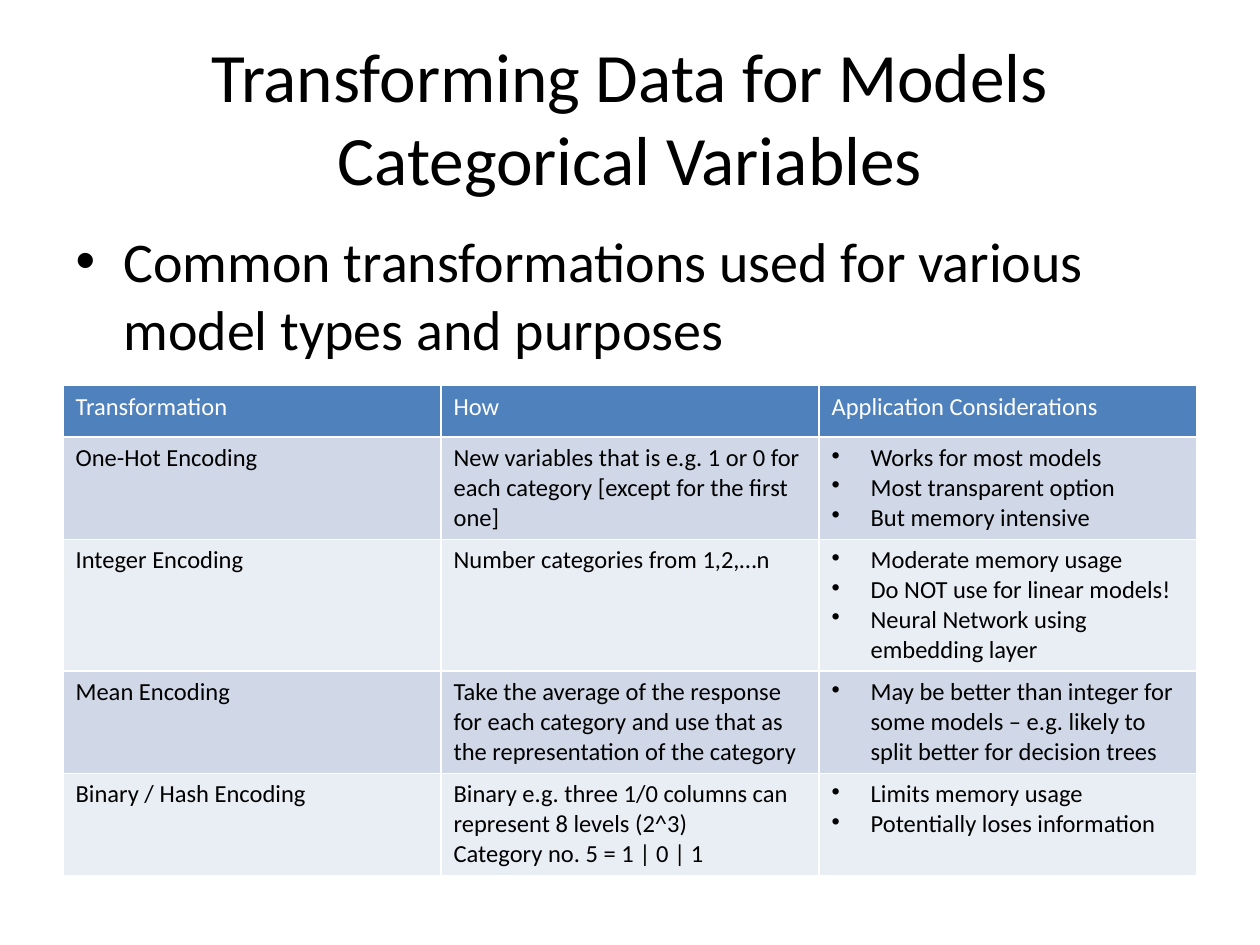
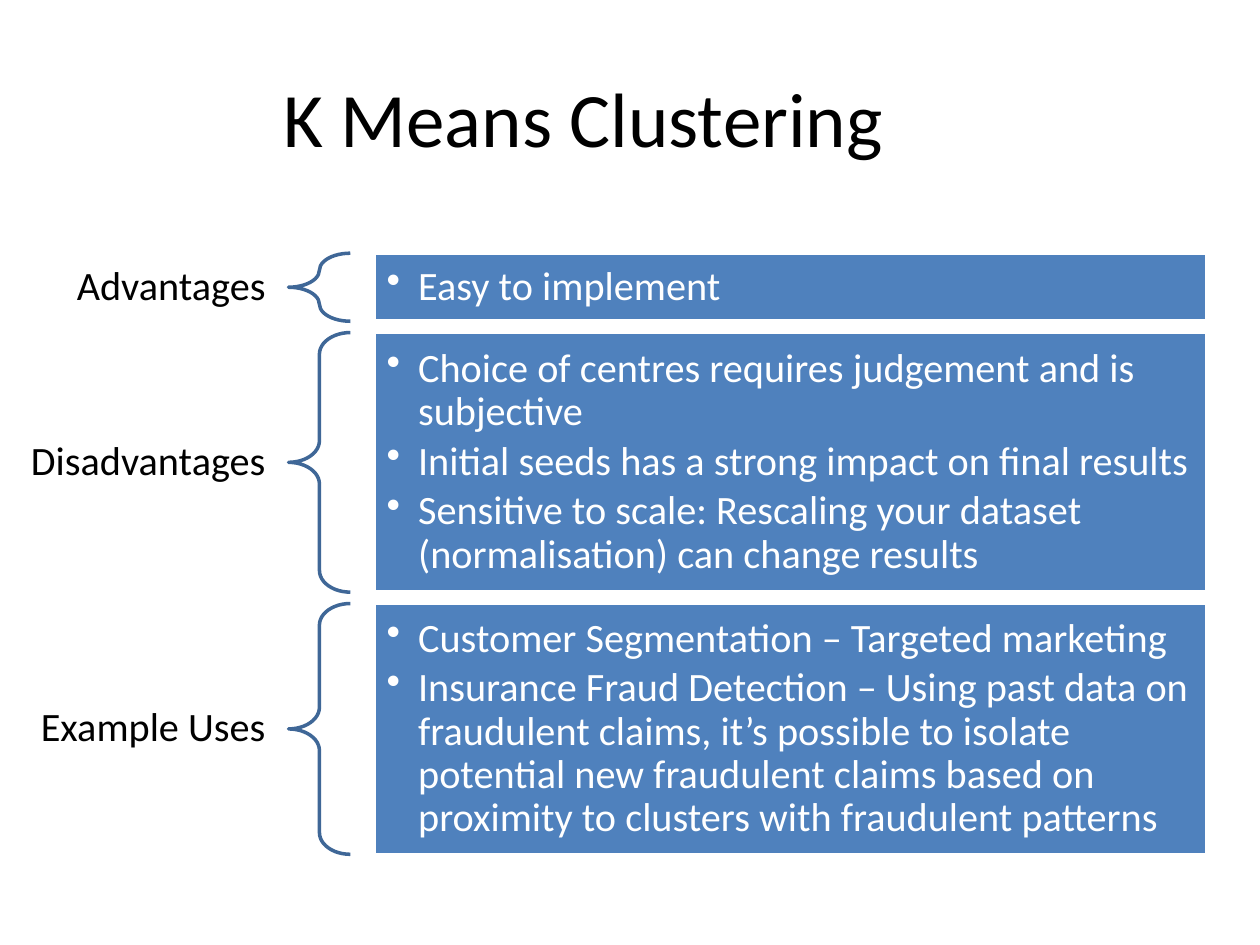
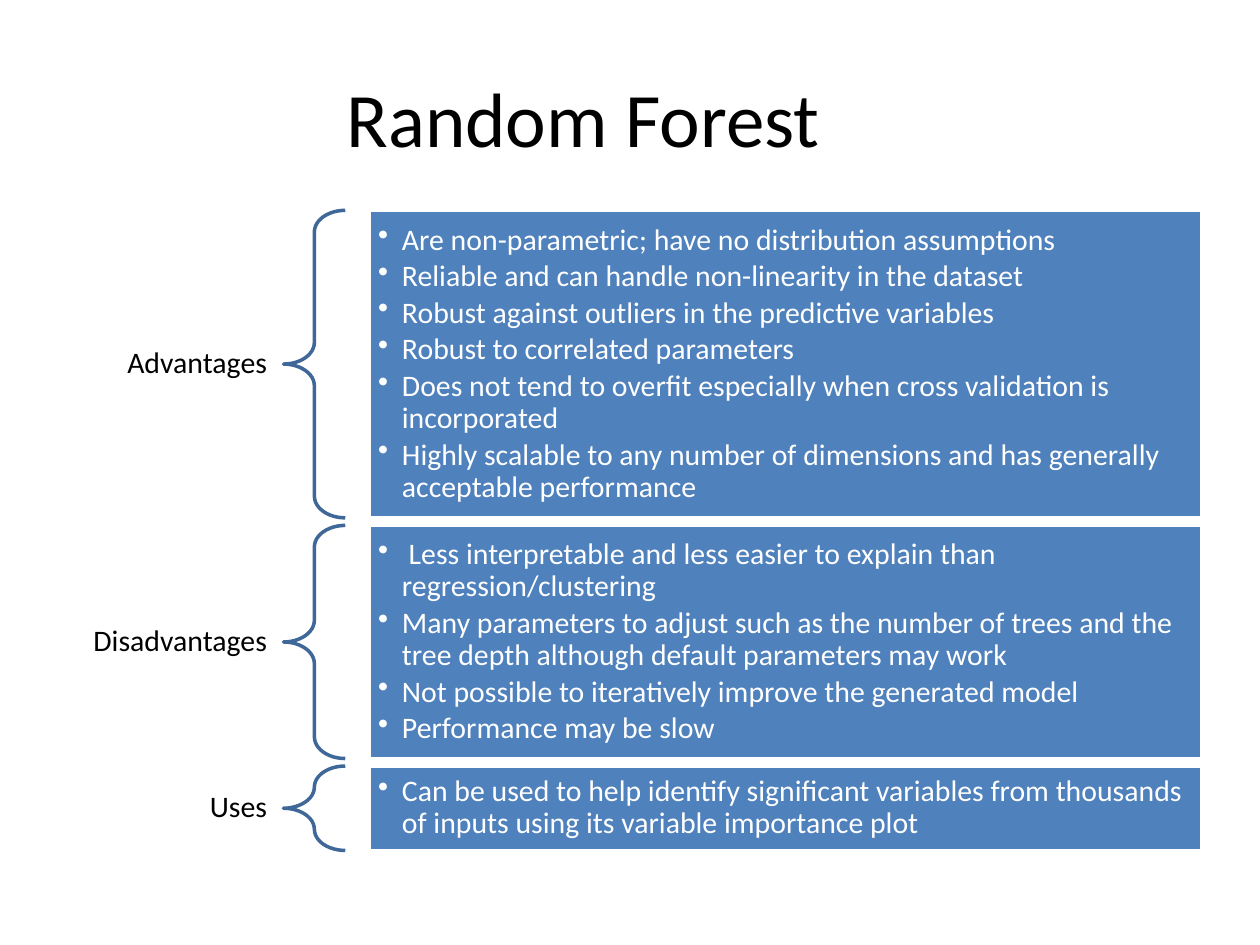
from dataclasses import dataclass
from typing import Any

from lxml import etree
from pptx import Presentation
from pptx.dml.color import RGBColor
from pptx.enum.shapes import MSO_SHAPE
from pptx.enum.text import MSO_ANCHOR, MSO_AUTO_SIZE, PP_ALIGN
from pptx.oxml.ns import qn
from pptx.util import Inches, Pt

BRACE, RECT = MSO_SHAPE.LEFT_BRACE, MSO_SHAPE.RECTANGLE
MIDDLE, FIXED = MSO_ANCHOR.MIDDLE, MSO_AUTO_SIZE.NONE
LEFT, CENTER, RIGHT = PP_ALIGN.LEFT, PP_ALIGN.CENTER, PP_ALIGN.RIGHT

BLACK = RGBColor(0x00, 0x00, 0x00)
WHITE = RGBColor(0xFF, 0xFF, 0xFF)
BLUE = RGBColor(0x4F, 0x81, 0xBD)
NAVY = RGBColor(0x3F, 0x67, 0x97)
BANDS = (RGBColor(0xE9, 0xED, 0xF4), RGBColor(0xD0, 0xD8, 0xE8))
FONT = "Calibri"
SIDES = ("margin_left", "margin_top", "margin_right", "margin_bottom")


@dataclass
class Block:
    label: str
    height: float
    points: list[str]


@dataclass
class Chart:
    title: str
    left: float
    top: float
    gap: float
    size: int
    pad: float
    indent: float
    inset: tuple[float, float]
    tall: float
    blocks: list[Block]


@dataclass
class Row:
    name: str
    how: list[str]
    notes: list[str]


ROWS = [
    Row("One-Hot Encoding",
        ["New variables that is e.g. 1 or 0 for each category [except for the first one]"],
        ["Works for most models", "Most transparent option", "But memory intensive"]),
    Row("Integer Encoding",
        ["Number categories from 1,2,…n"],
        ["Moderate memory usage", "Do NOT use for linear models!",
         "Neural Network using embedding layer"]),
    Row("Mean Encoding",
        ["Take the average of the response for each category and use that as "
         "the representation of the category"],
        ["May be better than integer for some models – e.g. likely to split "
         "better for decision trees"]),
    Row("Binary / Hash Encoding",
        ["Binary e.g. three 1/0 columns can represent 8 levels (2^3)",
         "Category no. 5 = 1 | 0 | 1"],
        ["Limits memory usage", "Potentially loses information"]),
]

CHARTS = [
    Chart("K Means Clustering", 2.29, 2.01, 0.09, 23, 0.1, 0.25, (0.18, 0.06), 0.5, [
        Block("Advantages", 0.54, ["Easy to implement"]),
        Block("Disadvantages", 2.06, [
            "Choice of centres requires judgement and is subjective",
            "Initial seeds has a strong impact on final results",
            "Sensitive to scale: Rescaling your dataset (normalisation) can change results"]),
        Block("Example Uses", 1.99, [
            "Customer Segmentation – Targeted marketing",
            "Insurance Fraud Detection – Using past data on fraudulent claims, it’s "
            "possible to isolate potential new fraudulent claims based on proximity "
            "to clusters with fraudulent patterns"]),
    ]),
    Chart("Random Forest", 2.25, 1.67, 0.06, 17, 0.07, 0.19, (0.13, 0.05), 0.37, [
        Block("Advantages", 2.44, [
            "Are non-parametric; have no distribution assumptions",
            "Reliable and can handle non-linearity in the dataset",
            "Robust against outliers in the predictive variables",
            "Robust to correlated parameters",
            "Does not tend to overfit especially when cross validation is incorporated",
            "Highly scalable to any number of dimensions and has generally "
            "acceptable performance"]),
        Block("Disadvantages", 1.85, [
            " Less interpretable and less easier to explain than regression/clustering",
            "Many parameters to adjust such as the number of trees and the tree "
            "depth although default parameters may work",
            "Not possible to iteratively improve the generated model",
            "Performance may be slow"]),
        Block("Uses", 0.67, [
            "Can be used to help identify significant variables from thousands "
            "of inputs using its variable importance plot"]),
    ]),
]


def style(item: Any, values: dict[str, Any]) -> None:
    for name, value in values.items():
        setattr(item, name, value)


def place(item: Any, left: float, top: float, width: float, height: float) -> None:
    style(item, {"left": Inches(left), "top": Inches(top),
                 "width": Inches(width), "height": Inches(height)})


def pad(frame: Any, across: float, down: float) -> None:
    style(frame, dict(zip(SIDES, (Inches(across), Inches(down)) * 2)))


def write(frame: Any, lines: list[str], size: float, color: RGBColor,
          form: dict[str, Any], indent: float = 0) -> None:
    frame.text = "\n".join(lines)
    for para in frame.paragraphs:
        style(para, form)
        style(para.font, {"name": FONT, "size": Pt(size), "bold": False})
        para.font.color.rgb = color
        for run in para.runs:
            style(run.font, {"name": FONT, "size": Pt(size), "bold": False})
            run.font.color.rgb = color
        if indent:
            props = para._p.get_or_add_pPr()
            props.set("marL", str(Inches(indent)))
            props.set("indent", str(-Inches(indent)))
            mark = etree.Element(qn("a:buChar"), char="•")
            fill = props.find(qn("a:defRPr"))
            if fill is None:
                props.append(mark)
            else:
                fill.addprevious(mark)


def head(slide: Any, text: str, size: float, shift: float = 0) -> None:
    title = slide.shapes.title
    place(title, 0.5, 0.3, 9, 1.25)
    frame = title.text_frame
    style(frame, {"auto_size": FIXED, "vertical_anchor": MIDDLE,
                  "margin_right": Inches(0.1 + shift)})
    write(frame, [text], size, BLACK, {"alignment": CENTER})


def draw_table(deck: Any) -> None:
    slide = deck.slides.add_slide(deck.slide_layouts[1])
    head(slide, "Transforming Data for Models\vCategorical Variables", 39.6)
    body = slide.placeholders[1]
    place(body, 0.5, 1.75, 9, 4.95)
    body.text_frame.auto_size = FIXED
    write(body.text_frame, ["Common transformations used for various model types and purposes"],
          32, BLACK, {}, 0.38)
    heads = Row("Transformation", ["How"], ["Application Considerations"])
    grid = slide.shapes.add_table(len(ROWS) + 1, 3, Inches(0.5), Inches(3.06),
                                  Inches(9), Inches(3.84)).table
    for r, row in enumerate([heads, *ROWS]):
        grid.rows[r].height = Inches(0.41)
        for c, lines in enumerate(([row.name], row.how, row.notes)):
            cell = grid.cell(r, c)
            cell.fill.solid()
            cell.fill.fore_color.rgb = BANDS[r % 2] if r else BLUE
            write(cell.text_frame, lines, 14, BLACK if r else WHITE, {},
                  0.31 if r and c == 2 else 0)


def draw_shape(slide: Any, kind: Any, spot: tuple[float, float, float, float],
               line: RGBColor) -> Any:
    shape = slide.shapes.add_shape(kind, *map(Inches, spot))
    shape.shadow.inherit = False
    shape.line.color.rgb = line
    shape.line.width = Pt(2)
    return shape


def draw_block(slide: Any, chart: Chart, block: Block, top: float) -> None:
    wide = 2.43
    mid = top + block.height / 2
    label = slide.shapes.add_textbox(Inches(chart.left - wide), Inches(mid - chart.tall / 2),
                                     Inches(wide), Inches(chart.tall)).text_frame
    style(label, {"word_wrap": True, "vertical_anchor": MIDDLE})
    pad(label, *chart.inset)
    write(label, [block.label], chart.size, BLACK,
          {"alignment": RIGHT, "line_spacing": 0.9, "space_after": Pt(chart.size * 0.35)})

    brace = draw_shape(slide, BRACE, (chart.left, top, 0.49, block.height), NAVY)
    brace.fill.background()
    brace.adjustments[0] = 0.35

    panel = draw_shape(slide, RECT, (chart.left + 0.68, top, 6.61, block.height), WHITE)
    panel.fill.solid()
    panel.fill.fore_color.rgb = BLUE
    frame = panel.text_frame
    style(frame, {"word_wrap": True, "vertical_anchor": MIDDLE})
    pad(frame, chart.pad, chart.pad)
    write(frame, block.points, chart.size, WHITE,
          {"level": 1, "alignment": LEFT, "line_spacing": 0.9,
           "space_after": Pt(chart.size * 0.15)}, chart.indent)


def draw_chart(deck: Any, chart: Chart) -> None:
    slide = deck.slides.add_slide(deck.slide_layouts[5])
    head(slide, chart.title, 44, 0.74)
    top = chart.top
    for block in chart.blocks:
        draw_block(slide, chart, block, top)
        top += block.height + chart.gap


def main() -> None:
    deck = Presentation()
    style(deck, {"slide_width": Inches(10), "slide_height": Inches(7.5)})
    draw_table(deck)
    for chart in CHARTS:
        draw_chart(deck, chart)
    deck.save("out.pptx")


if __name__ == "__main__":
    main()
